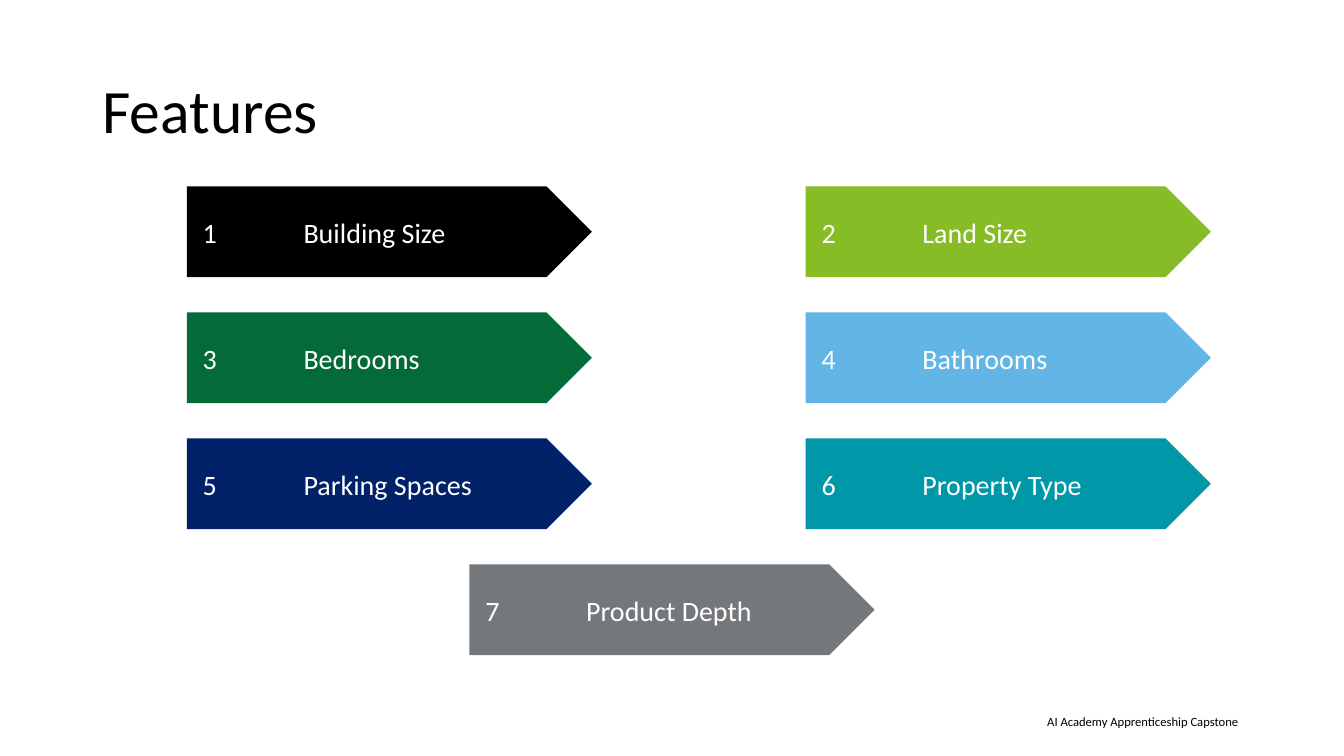
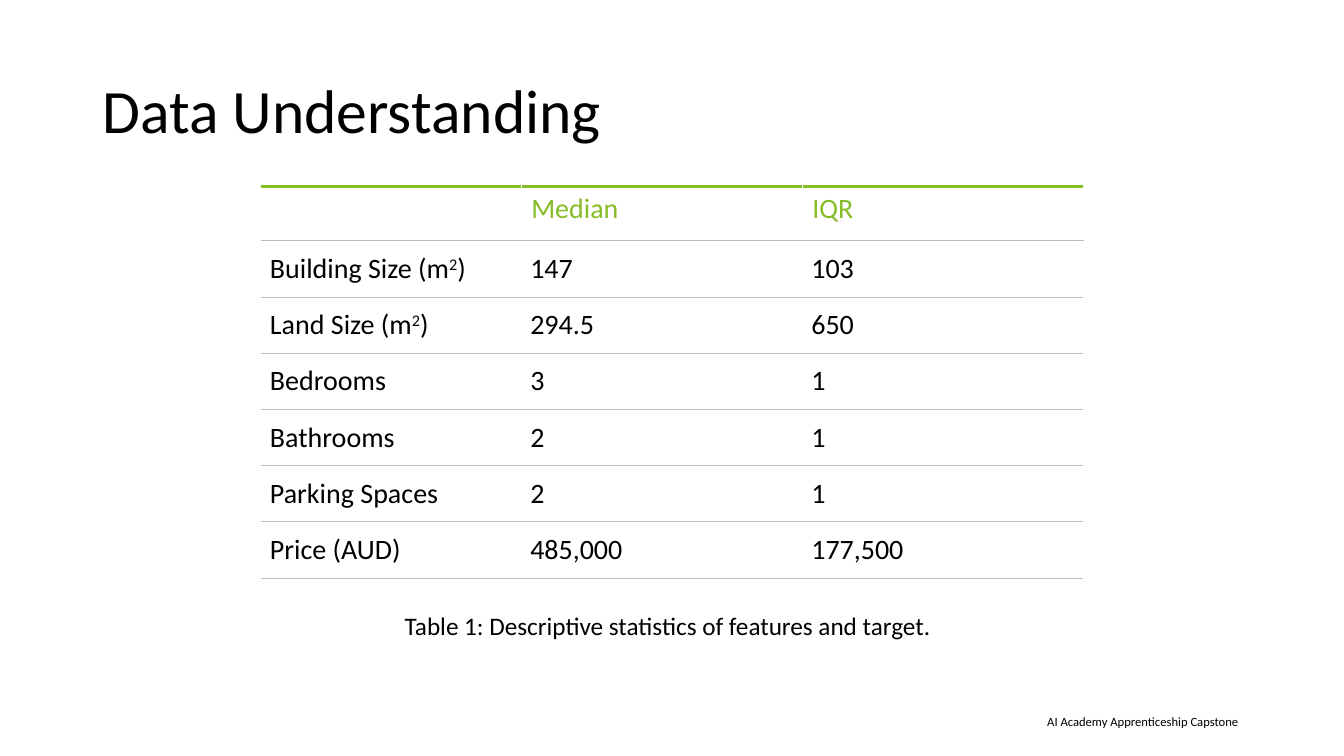
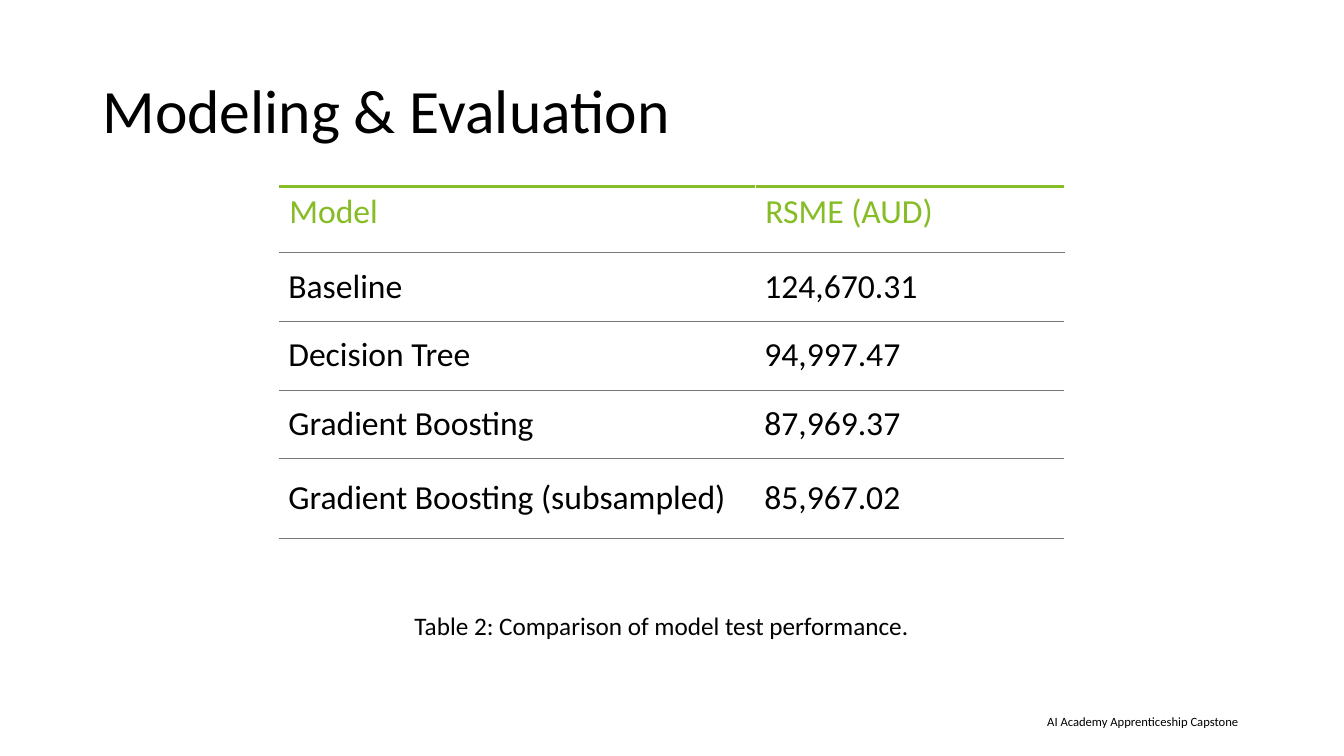
"""Build three slides on the features, data and models of a house price study."""
from pptx import Presentation
from pptx.dml.color import RGBColor as RGB
from pptx.enum.shapes import MSO_SHAPE as Shape
from pptx.enum.text import MSO_ANCHOR as Anchor, MSO_AUTO_SIZE as Auto, PP_ALIGN as Align
from pptx.oxml import parse_xml
from pptx.oxml.ns import nsdecls, qn
from pptx.util import Pt

BLACK, WHITE, GREEN, GRAY = "000000", "FFFFFF", "86BC25", "75787B"
PALE = "BBBCBC"
TOP = 133.2
PLAIN = "{2D5ABB26-0587-4C30-8999-92F81FD0307C}"


def style(par, size, color=BLACK):
    """Set the font of a paragraph."""
    par.font.name = "Calibri"
    par.font.size = Pt(size)
    par.font.color.rgb = RGB.from_string(color)


def edge(cell, side, color, width):
    """Draw one border of a cell."""
    cell._tc.get_or_add_tcPr().append(parse_xml(
        f'<a:ln{side} {nsdecls("a")} w="{Pt(width)}"><a:solidFill>'
        f'<a:srgbClr val="{color}"/></a:solidFill></a:ln{side}>'))


deck = Presentation()
deck.slide_width, deck.slide_height = Pt(960), Pt(540)
layout = deck.slide_layouts[5]

pages = []
for name in ("Features", "Data Understanding", "Modeling & Evaluation"):
    page = deck.slides.add_slide(layout)
    title = page.shapes.title
    title.left, title.top, title.width, title.height = Pt(66), Pt(28.8), Pt(828), Pt(104.4)
    frame = title.text_frame
    frame.text = name
    frame.auto_size = Auto.NONE
    frame.vertical_anchor = Anchor.MIDDLE
    par = frame.paragraphs[0]
    par.alignment = Align.LEFT
    par.line_spacing = 0.9
    style(par, 44)
    pages.append(page)

foot = pages[0].shapes.add_textbox(Pt(499), Pt(509.8), Pt(385.4), Pt(10.8))
frame = foot.text_frame
frame.word_wrap = True
frame.margin_left = frame.margin_right = frame.margin_top = frame.margin_bottom = 0
frame.text = "AI Academy Apprenticeship Capstone"
frame.paragraphs[0].alignment = Align.RIGHT
style(frame.paragraphs[0], 9)
layout.shapes.element.append(foot.element)

LEFT, MID, RIGHT = 133.4, 335.3, 575.5
items = [
    ("Building Size", BLACK, LEFT), ("Land Size", GREEN, RIGHT),
    ("Bedrooms", "046A38", LEFT), ("Bathrooms", "62B5E5", RIGHT),
    ("Parking Spaces", "012169", LEFT), ("Property Type", "0097A9", RIGHT),
    ("Product Depth", GRAY, MID),
]
for i, (label, color, left) in enumerate(items):
    arrow = pages[0].shapes.add_shape(
        Shape.PENTAGON, Pt(left), Pt(TOP + i // 2 * 90), Pt(289.4), Pt(64.8))
    arrow.shadow.inherit = False
    arrow.fill.solid()
    arrow.fill.fore_color.rgb = RGB.from_string(color)
    arrow.line.fill.background()
    frame = arrow.text_frame
    frame.margin_left = Pt(11.4)
    frame.margin_right = frame.margin_top = frame.margin_bottom = Pt(7.2)
    frame.vertical_anchor = Anchor.MIDDLE
    frame.text = f"{i + 1}\t{label}"
    par = frame.paragraphs[0]
    par.alignment = Align.LEFT
    par._p.get_or_add_pPr().append(parse_xml(
        f'<a:tabLst {nsdecls("a")}><a:tab pos="{Pt(72)}" algn="l"/></a:tabLst>'))
    style(par, 20, WHITE)

stats = [
    ("", "Median", "IQR"),
    ("Building Size (m^2^)", "147", "103"),
    ("Land Size (m^2^)", "294.5", "650"),
    ("Bedrooms", "3", "1"),
    ("Bathrooms", "2", "1"),
    ("Parking Spaces", "2", "1"),
    ("Price (AUD)", "485,000", "177,500"),
]
scores = [
    ("Model", "RSME (AUD)"),
    ("Baseline", "124,670.31"),
    ("Decision Tree", "94,997.47"),
    ("Gradient Boosting", "87,969.37"),
    ("Gradient Boosting (subsampled)", "85,967.02"),
]
tables = [
    (pages[1], stats, 186.3, (186, 200.8, 200.8), (38.8,) + (40.15,) * 6, 20, PALE,
     "Table 1: Descriptive statistics of features and target.", 282, 396),
    (pages[2], scores, 199.5, (340, 220.8), (47.3, 49, 49, 49, 56.9), 24, GRAY,
     "Table 2: Comparison of model test performance.", 289, 382),
]
for page, rows, left, wide, high, size, rule, note, start, span in tables:
    grid = page.shapes.add_table(
        len(rows), len(wide), Pt(left), Pt(TOP), Pt(sum(wide)), Pt(sum(high))).table
    grid.first_row = grid.horz_banding = False
    grid._tbl.tblPr.find(qn("a:tableStyleId")).text = PLAIN
    for col, width in zip(grid.columns, wide):
        col.width = Pt(width)
    for r, row in enumerate(rows):
        grid.rows[r].height = Pt(high[r])
        for c, text in enumerate(row):
            cell = grid.cell(r, c)
            if r == 0:
                if c:
                    edge(cell, "L", WHITE, 0.5)
                edge(cell, "R", WHITE, 0.5)
                edge(cell, "T", GREEN, 3)
            else:
                cell.margin_left = cell.margin_right = Pt(6.5)
                cell.margin_top = cell.margin_bottom = Pt(3)
                cell.vertical_anchor = Anchor.MIDDLE
                edge(cell, "T", rule, 0.5)
            edge(cell, "B", rule, 0.5)
            cell.fill.background()
            par = cell.text_frame.paragraphs[0]
            style(par, size, BLACK if r else GREEN)
            for n, part in enumerate(text.split("^")):
                if part:
                    run = par.add_run()
                    run.text = part
                    if n == 1:
                        run.font._element.set("baseline", "30000")
    box = page.shapes.add_textbox(Pt(start), Pt(432.3), Pt(span), Pt(29))
    box.text_frame.word_wrap = True
    box.text_frame.text = note
    style(box.text_frame.paragraphs[0], 18)

deck.save("out.pptx")
